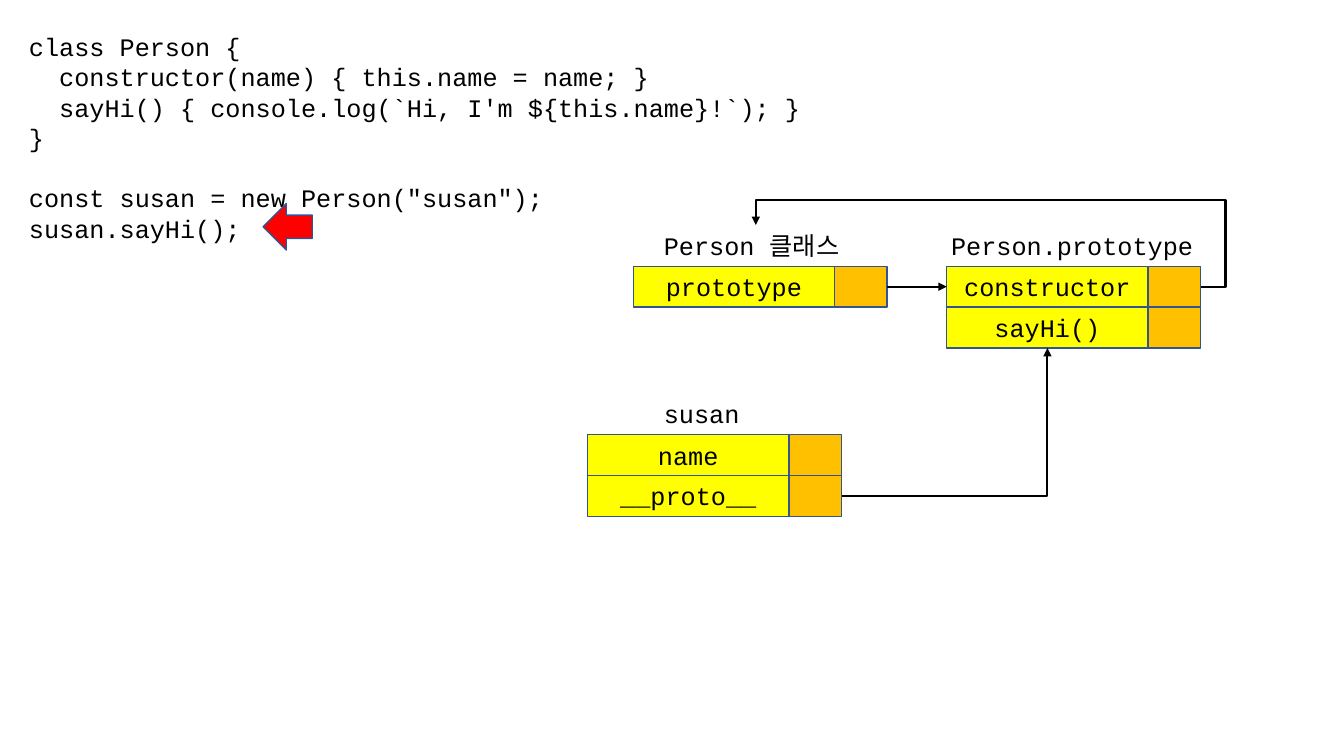
from lxml.etree import SubElement
from pptx import Presentation
from pptx.dml.color import RGBColor
from pptx.enum.shapes import MSO_CONNECTOR, MSO_SHAPE
from pptx.enum.text import MSO_ANCHOR, MSO_AUTO_SIZE, PP_ALIGN
from pptx.oxml.ns import qn
from pptx.util import Cm, Pt

CODE = [
    ("class Person {", 0),
    ("  constructor(name) { this.name = name; }", 0),
    ("  sayHi() { console.log(`Hi, I'm ${this.name}!`); }", 0),
    ("}", 0),
    ('const susan = new Person("susan");', 21.6),
    ("susan.sayHi();", 0),
]
TABLES = [
    ("Person 클래스", 16.48, 5.11, 15.96, 6.71, ["prototype"]),
    ("Person.prototype", 23.72, 6.63, 23.86, 6.71, ["constructor", "sayHi()"]),
    ("susan", 16.48, 2.44, 14.81, 10.95, ["name", "__proto__"]),
]
KEY_W, SLOT_W, ROW_H, LABEL_H = 5.07, 1.33, 1.03, 1.04
LOOP_X, LOOP_Y, CLASS_X = 30.89, 5.03, 19.05

BLACK = RGBColor(0x00, 0x00, 0x00)
RED = RGBColor(0xFF, 0x00, 0x00)
YELLOW = RGBColor(0xFF, 0xFF, 0x00)
ORANGE = RGBColor(0xFF, 0xC0, 0x00)
NAVY = RGBColor(0x32, 0x54, 0x91)


def style(para):
    for run in para.runs:
        run.font.name = "Courier New"
        run.font.size = Pt(18)
        run.font.color.rgb = BLACK


def add_text(shapes, text, x, y, w, h):
    box = shapes.add_textbox(Cm(x), Cm(y), Cm(w), Cm(h))
    frame = box.text_frame
    frame.word_wrap = False
    frame.auto_size = MSO_AUTO_SIZE.SHAPE_TO_FIT_TEXT
    frame.text = text
    for para in frame.paragraphs:
        style(para)
    return frame


def add_box(shapes, kind, x, y, w, h, color, text=""):
    box = shapes.add_shape(kind, Cm(x), Cm(y), Cm(w), Cm(h))
    box.shadow.inherit = False
    box.fill.solid()
    box.fill.fore_color.rgb = color
    box.line.color.rgb = NAVY
    box.line.width = Pt(1)
    if text:
        frame = box.text_frame
        frame.vertical_anchor = MSO_ANCHOR.MIDDLE
        frame.text = text
        frame.paragraphs[0].alignment = PP_ALIGN.CENTER
        style(frame.paragraphs[0])
    return box


def add_row(shapes, text, x, y):
    row = shapes.add_group_shape().shapes
    key = add_box(row, MSO_SHAPE.RECTANGLE, x, y, KEY_W, ROW_H, YELLOW, text)
    slot = add_box(row, MSO_SHAPE.RECTANGLE, x + KEY_W, y, SLOT_W, ROW_H, ORANGE)
    return key, slot


def add_arrow(shapes, kind, start, end, bend=None, ratios=()):
    arrow = shapes.add_connector(kind, *start, *end)
    arrow.line.color.rgb = BLACK
    arrow.line.width = Pt(1.5)
    props = arrow._element.spPr
    SubElement(props.find(qn("a:ln")), qn("a:tailEnd"), type="triangle")
    SubElement(props, qn("a:effectLst"))
    if bend:
        geom = props.find(qn("a:prstGeom"))
        geom.set("prst", bend)
        guides = geom.find(qn("a:avLst"))
        for num, ratio in enumerate(ratios, 1):
            SubElement(guides, qn("a:gd"), name=f"adj{num}",
                       fmla=f"val {round(ratio * 100000)}")
    return arrow


def right(box):
    return box.left + box.width, box.top + box.height // 2


def main():
    """Build the slide on a class, its prototype and one instance."""
    deck = Presentation()
    deck.slide_width, deck.slide_height = Cm(33.87), Cm(19.05)
    shapes = deck.slides.add_slide(deck.slide_layouts[6]).shapes

    code = add_text(shapes, "\n".join(line for line, gap in CODE), 0.48, 0.67, 20.04, 5.64)
    for para, (line, gap) in zip(code.paragraphs, CODE):
        para.line_spacing = Pt(21.6)
        if gap:
            para.space_before = Pt(gap)
    add_box(shapes, MSO_SHAPE.LEFT_ARROW, 6.63, 5.13, 1.24, 1.17, RED)

    cells = {}
    for label, label_x, label_w, x, y, rows in TABLES:
        add_text(shapes, label, label_x, y - LABEL_H, label_w, LABEL_H)
        for num, text in enumerate(rows):
            cells[text] = add_row(shapes, text, x, y + num * ROW_H)

    slot = cells["prototype"][1]
    maker, back = cells["constructor"]
    link = add_arrow(shapes, MSO_CONNECTOR.STRAIGHT, right(slot),
                     (maker.left, right(maker)[1]))
    link.begin_connect(slot, 3)
    link.end_connect(maker, 1)

    start = right(back)
    end = Cm(CLASS_X), Cm(TABLES[0][4] - LABEL_H)
    ratios = ((Cm(LOOP_X) - start[0]) / (end[0] - start[0]),
              (Cm(LOOP_Y) - start[1]) / (end[1] - start[1]))
    add_arrow(shapes, MSO_CONNECTOR.ELBOW, start, end, "bentConnector4", ratios)

    hi = cells["sayHi()"][0]
    end = hi.left + hi.width // 2, hi.top + hi.height
    add_arrow(shapes, MSO_CONNECTOR.ELBOW, right(cells["__proto__"][1]), end,
              "bentConnector2")
    deck.save("out.pptx")


if __name__ == "__main__":
    main()
